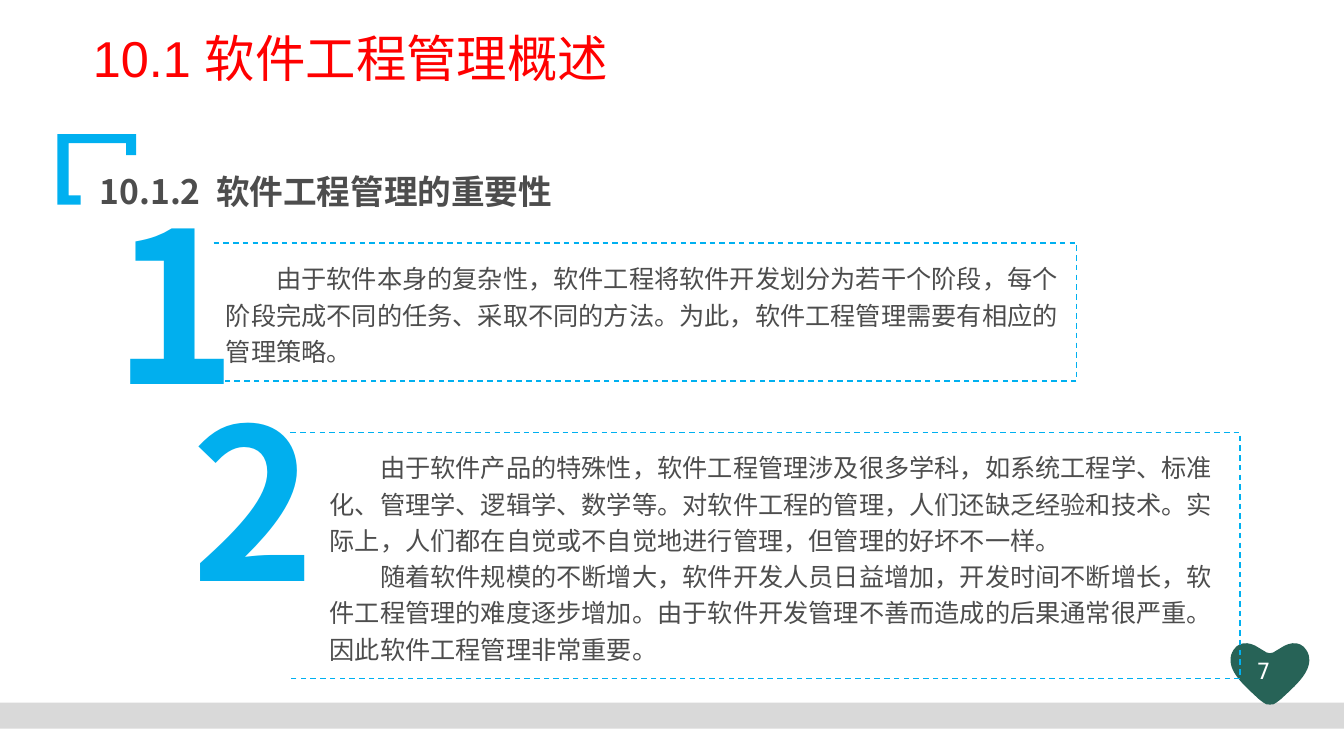
import pptx
import pptx.util
from lxml import etree
from pptx.dml.color import RGBColor
from pptx.enum.dml import MSO_LINE
from pptx.enum.shapes import MSO_SHAPE
from pptx.enum.text import MSO_ANCHOR, MSO_AUTO_SIZE, PP_ALIGN
from pptx.oxml.ns import qn

PX = 9144  # EMU in one px, 100 px to the inch
RED = RGBColor(0xFF, 0x00, 0x00)
BLUE = RGBColor(0x00, 0xB0, 0xF0)
NUMERAL_BLUE = RGBColor(0x01, 0xAF, 0xEE)
GREY = RGBColor(0x4D, 0x4D, 0x4D)
BAND_GREY = RGBColor(0xD9, 0xD9, 0xD9)
GREEN = RGBColor(0x27, 0x63, 0x57)
WHITE = RGBColor(0xFF, 0xFF, 0xFF)
CJK = "Noto Sans CJK SC"


def write(frame, *paragraphs, size, color, font=CJK, asian=CJK, bold=False,
          align=PP_ALIGN.LEFT, anchor=MSO_ANCHOR.TOP, spacing=1.0, indent=0,
          insets=(10, 5, 10, 5)):
    """Fill a text frame; insets are left, top, right, bottom in px."""
    frame.word_wrap = True
    frame.auto_size = MSO_AUTO_SIZE.NONE
    frame.vertical_anchor = anchor
    (frame.margin_left, frame.margin_top,
     frame.margin_right, frame.margin_bottom) = [inset * PX for inset in insets]
    for number, text in enumerate(paragraphs):
        paragraph = frame.add_paragraph() if number else frame.paragraphs[0]
        paragraph.alignment = align
        paragraph.line_spacing = spacing
        if indent:
            properties = paragraph._p.get_or_add_pPr()
            properties.set("marL", "0")
            properties.set("indent", str(indent * PX))
        run = paragraph.add_run()
        run.text = text
        run.font.size = pptx.util.Pt(size)
        run.font.bold = bold
        run.font.color.rgb = color
        run.font.name = font
        etree.SubElement(run.font._element, qn("a:ea"), typeface=asian)


def draw_outline(points, close=True):
    corners = [(x * PX, y * PX) for x, y in points]
    builder = slide.shapes.build_freeform(*corners[0])
    builder.add_line_segments(corners[1:], close=close)
    outline = builder.convert_to_shape()
    outline.shadow.inherit = False
    return outline


deck = pptx.Presentation()
deck.slide_width, deck.slide_height = 1333 * PX, 750 * PX
slide = deck.slides.add_slide(deck.slide_layouts[5])

bracket = draw_outline([(57, 133), (135, 133), (135, 154), (125, 154), (125, 142),
                        (68, 142), (68, 194), (80, 194), (80, 203), (57, 203)])
footer_band = slide.shapes.add_shape(
    MSO_SHAPE.RECTANGLE, 0, 697 * PX, 1333 * PX, 26 * PX)
footer_band.shadow.inherit = False

# Right half of the heart, tip to notch: each Bézier curve takes three points
right_half = [
    (1259.5, 699),
    (1262, 699), (1264, 699), (1266, 697),
    (1266, 697), (1266, 697), (1270, 694),
    (1285, 680), (1302, 666), (1298, 650),
    (1293, 635), (1280, 636), (1270, 643),
    (1265, 646), (1265, 646), (1265, 646),
    (1264, 647), (1262, 648), (1259.5, 648),
]
left_half = [(2519 - x, y) for x, y in reversed(right_half)]
heart = draw_outline(right_half + left_half[1:])
segments = list(heart._element.iter(qn("a:lnTo")))
for first in range(0, len(segments), 3):
    curve = etree.Element(qn("a:cubicBezTo"))
    segments[first].addprevious(curve)
    for segment in segments[first:first + 3]:
        curve.append(segment[0])
        segment.getparent().remove(segment)

for decoration, color in [(bracket, BLUE), (footer_band, BAND_GREY), (heart, GREEN)]:
    decoration.fill.solid()
    decoration.fill.fore_color.rgb = color
    decoration.line.fill.background()

page_number = slide.shapes.add_textbox(1225 * PX, 647 * PX, 70 * PX, 39 * PX)
write(page_number.text_frame, "7 ", size=16, color=WHITE, font="DejaVu Sans Mono",
      align=PP_ALIGN.CENTER)

title = slide.shapes.title
title.left, title.top, title.width, title.height = 82 * PX, 29 * PX, 920 * PX, 94 * PX
write(title.text_frame, "10.1 软件工程管理概述", size=36, color=RED, font="Arial",
      spacing=0.9)

heading = slide.shapes.add_textbox(89 * PX, 153 * PX, 632 * PX, 63 * PX)
write(heading.text_frame, "10.1.2  软件工程管理的重要性", size=24, color=GREY,
      bold=True, spacing=1.3)

# numeral, its left and top, frame left, top, right and bottom, insets, paragraphs
reasons = [
    ("1", 103, 167, (212, 241, 1068, 378), (12, 5, 12, 5), [
        "由于软件本身的复杂性，软件工程将软件开发划分为若干个阶段，每个阶段完成不同的任务、"
        "采取不同的方法。为此，软件工程管理需要有相应的管理策略。",
    ]),
    ("2", 180, 363, (288, 429, 1230, 673), (39, 20, 20, 20), [
        "由于软件产品的特殊性，软件工程管理涉及很多学科，如系统工程学、标准化、管理学、逻辑学、"
        "数学等。对软件工程的管理，人们还缺乏经验和技术。实际上，人们都在自觉或不自觉地进行管理，"
        "但管理的好坏不一样。",
        "随着软件规模的不断增大，软件开发人员日益增加，开发时间不断增长，软件工程管理的难度逐步增加。"
        "由于软件开发管理不善而造成的后果通常很严重。因此软件工程管理非常重要。",
    ]),
]
for digit, digit_left, digit_top, edges, insets, paragraphs in reasons:
    left, top, right, bottom = edges
    reason = draw_outline(
        [(left, top), (right, top), (right, bottom), (left, bottom)], close=False)
    reason.fill.background()
    reason.line.color.rgb = BLUE
    reason.line.width = pptx.util.Pt(1)
    reason.line.dash_style = MSO_LINE.DASH
    write(reason.text_frame, *paragraphs, size=18, color=GREY, indent=50,
          anchor=MSO_ANCHOR.MIDDLE, spacing=1.2, insets=insets)

    numeral = slide.shapes.add_textbox(
        digit_left * PX, digit_top * PX, 109 * PX, 262 * PX)
    write(numeral.text_frame, digit, size=150, color=NUMERAL_BLUE, bold=True,
          font="Noto Sans CJK JP", asian="Noto Sans CJK JP",
          align=PP_ALIGN.CENTER, anchor=MSO_ANCHOR.MIDDLE)

deck.save("out.pptx")
